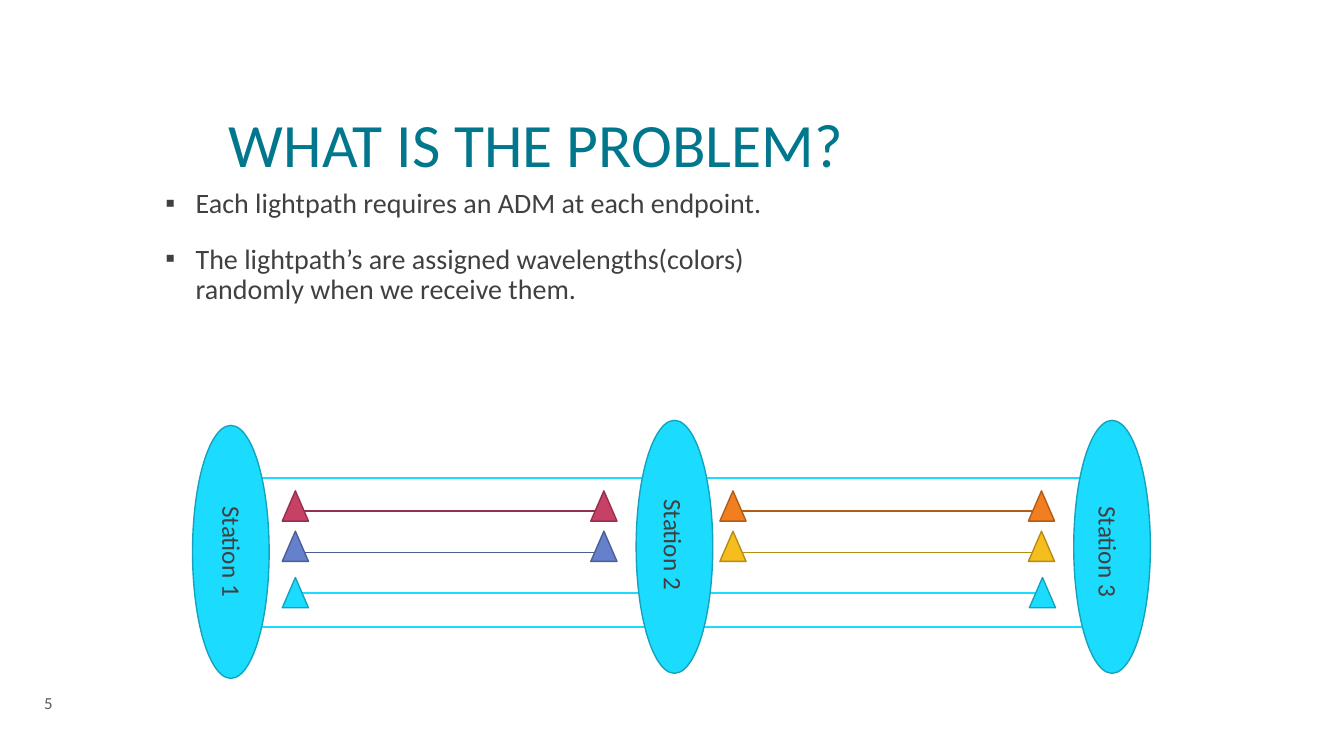
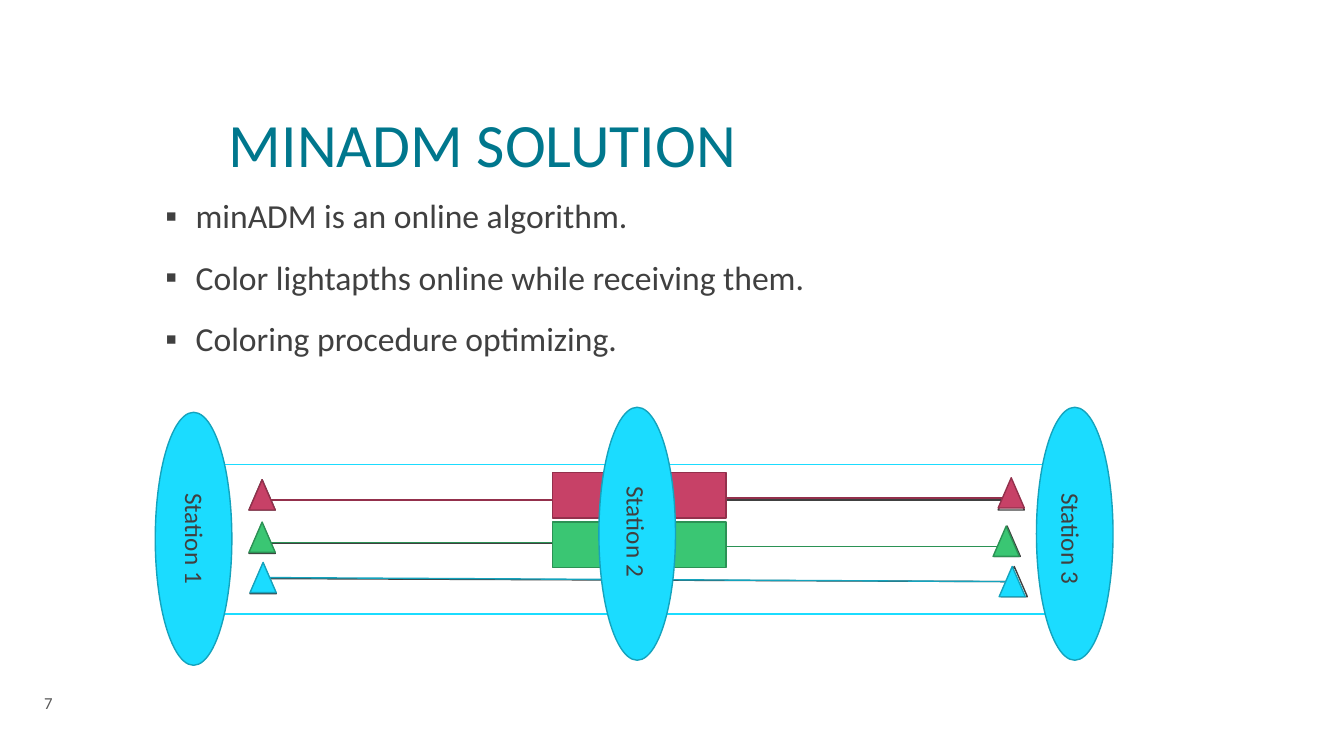
from pptx import Presentation
from pptx import util as u
from pptx.dml.color import RGBColor
from pptx.enum import shapes, text
from pptx.oxml.ns import qn
from lxml import etree

FONT = "Calibri"
WHITE = RGBColor(0xFF, 0xFF, 0xFF)
TEAL = RGBColor(0x00, 0x77, 0x8D)
DARK = RGBColor(0x40, 0x40, 0x40)
GREY = RGBColor(0x59, 0x59, 0x59)
CYAN = RGBColor(0x1B, 0xDC, 0xFF)

# Each wavelength pairs a fill with its outline.
BLUE_CYAN = CYAN, RGBColor(0x14, 0xA3, 0xBD)
RED = RGBColor(0xC7, 0x41, 0x67), RGBColor(0x93, 0x30, 0x4C)
BLUE = RGBColor(0x66, 0x81, 0xCC), RGBColor(0x4B, 0x5F, 0x97)
ORANGE = RGBColor(0xF1, 0x7E, 0x1F), RGBColor(0xB2, 0x5D, 0x17)
YELLOW = RGBColor(0xF6, 0xBD, 0x1E), RGBColor(0xB6, 0x8C, 0x16)
GREEN = RGBColor(0x3A, 0xC6, 0x73), RGBColor(0x2B, 0x92, 0x55)
UNCOLORED = WHITE, DARK
FIBRE = WHITE, CYAN

# Ellipse corner, then label corner.
STATIONS = [
    ((1.91, 4.22), (1.75, 5.28)),
    ((6.31, 4.17), (6.13, 5.21)),
    ((10.65, 4.17), (10.44, 5.28)),
]
LONG = dict(lead=0.19, drop=0.15)


def write(p, words, size, color, align=text.PP_ALIGN.LEFT, spacing=None, before=0):
    p.text = words
    p.alignment = align
    p.line_spacing = spacing
    p.space_before = u.Pt(before)
    for r in p.runs:
        r.font.name = FONT
        r.font.size = u.Pt(size)
        r.font.color.rgb = color


def place(sp, x, y, w, h):
    sp.left, sp.top, sp.width, sp.height = map(u.Inches, (x, y, w, h))


class Deck:
    def __init__(self):
        self.prs = Presentation()
        self.prs.slide_width = u.Inches(13.33)
        self.prs.slide_height = u.Inches(7.5)
        self.s = None

    def slide(self, title, number):
        self.s = self.prs.slides.add_slide(self.prs.slide_layouts[1])
        sp = self.s.shapes.title
        place(sp, 2.17, 0.42, 10.25, 1.42)
        tf = sp.text_frame
        tf.auto_size = text.MSO_AUTO_SIZE.NONE
        tf.vertical_anchor = text.MSO_ANCHOR.BOTTOM
        write(tf.paragraphs[0], title, 44, TEAL, spacing=0.85)
        self.label(str(number), 0.34, 6.86, 0.79, 0.22, size=12, color=GREY)

    def bullets(self, items, y, h, size):
        sp = self.s.placeholders[1]
        place(sp, 1.54, y, 10.25, h)
        tf = sp.text_frame
        tf.auto_size = text.MSO_AUTO_SIZE.NONE
        for i, item in enumerate(items):
            p = tf.add_paragraph() if i else tf.paragraphs[0]
            pPr = p._p.get_or_add_pPr()
            pPr.set("marL", str(u.Inches(0.3)))
            pPr.set("indent", str(u.Inches(-0.3)))
            etree.SubElement(pPr, qn("a:buChar")).set("char", "▪")
            write(p, item, size, DARK, spacing=0.9, before=18 if i else 0)

    def label(self, words, x, y, w, h, size=18, color=DARK, rotation=0):
        sp = self.s.shapes.add_textbox(*map(u.Inches, (x, y, w, h)))
        sp.rotation = rotation
        tf = sp.text_frame
        tf.word_wrap = True
        tf.vertical_anchor = text.MSO_ANCHOR.MIDDLE
        write(tf.paragraphs[0], words, size, color)

    def shape(self, kind, x, y, w, h, colors):
        sp = self.s.shapes.add_shape(kind, *map(u.Inches, (x, y, w, h)))
        sp.shadow.inherit = False
        sp.fill.solid()
        sp.fill.fore_color.rgb, sp.line.color.rgb = colors
        sp.line.width = u.Pt(1)

    def rect(self, x, y, w, h, colors):
        self.shape(shapes.MSO_SHAPE.RECTANGLE, x, y, w, h, colors)

    def adm(self, x, y, colors):
        self.shape(shapes.MSO_SHAPE.ISOSCELES_TRIANGLE, x, y, 0.26, 0.3, colors)

    def line(self, x1, y1, x2, y2, color, width):
        ln = self.s.shapes.add_connector(
            shapes.MSO_CONNECTOR.STRAIGHT, *map(u.Inches, (x1, y1, x2, y2)))
        ln.line.color.rgb = color
        ln.line.width = u.Pt(width)
        etree.SubElement(ln._element.spPr, qn("a:effectLst"))

    def lightpath(self, start, end, colors, ends="both", lead=0.13, drop=0.2,
                  color=None, width=1):
        """Join two ADM corners; ends says which ADMs show: both, start or end."""
        self.line(start[0] + lead, start[1] + drop, end[0] + 0.06, end[1] + drop,
                  color or colors[1], width)
        if ends != "end":
            self.adm(*start, colors)
        if ends != "start":
            self.adm(*end, colors)

    def fibres(self, dx=0, dy=0):
        for x in (6.78, 2.43):
            self.rect(x + dx, 4.74 + dy, 4.3, 1.48, FIBRE)

    def stations(self, dx=0, dy=0):
        for n, ((x, y), (tx, ty)) in enumerate(STATIONS, 1):
            self.shape(shapes.MSO_SHAPE.OVAL, x + dx, y + dy, 0.76, 2.51, BLUE_CYAN)
            self.label(f"Station {n}", tx + dx, ty + dy, 1.11, 0.4, rotation=90)


def problem(deck):
    deck.slide("WHAT IS THE PROBLEM?", 5)
    deck.bullets(["Each lightpath requires an ADM at each endpoint.",
                  "The lightpath’s are assigned wavelengths(colors) \v"
                  "randomly when we receive them."], 1.83, 4.9, 20)
    deck.fibres()
    for x1, x2, upper, lower in ((2.8, 5.86, RED, BLUE), (7.14, 10.2, ORANGE, YELLOW)):
        deck.lightpath((x1, 4.87), (x2, 4.87), upper)
        deck.lightpath((x1, 5.27), (x2, 5.27), lower, drop=0.21)
    deck.lightpath((2.8, 5.73), (10.21, 5.73), BLUE_CYAN, color=CYAN, width=1.5, **LONG)
    deck.stations()


def solution(deck):
    deck.slide("MINADM SOLUTION", 7)
    deck.bullets(["minADM is an online algorithm.",
                  "Color lightapths online while receiving them.",
                  "Coloring procedure optimizing."], 1.93, 2.3, 24)
    shift = -0.37, -0.13
    deck.fibres(*shift)
    # An uncolored path lies just behind each colored one.
    for start, end, colors, ends in (
            ((2.47, 4.76), (5.53, 4.76), UNCOLORED, "start"),
            ((2.47, 4.76), (5.53, 4.76), RED, "start"),
            ((2.47, 5.19), (5.53, 5.19), UNCOLORED, "start"),
            ((2.47, 5.18), (5.53, 5.18), GREEN, "start"),
            ((6.84, 4.76), (9.9, 4.76), UNCOLORED, "end"),
            ((6.84, 4.74), (9.9, 4.74), RED, "end"),
            ((6.79, 5.22), (9.86, 5.22), UNCOLORED, "end"),
            ((6.79, 5.22), (9.85, 5.22), GREEN, "end")):
        deck.lightpath(start, end, colors, ends)
    deck.lightpath((2.48, 5.59), (9.93, 5.62), UNCOLORED, **LONG)
    deck.lightpath((2.48, 5.58), (9.91, 5.62), BLUE_CYAN, **LONG)
    for y, colors in ((4.69, RED), (5.18, GREEN)):
        deck.rect(5.48, y, 1.72, 0.45, colors)
    deck.stations(*shift)


def main():
    deck = Deck()
    problem(deck)
    solution(deck)
    deck.prs.save("out.pptx")


if __name__ == "__main__":
    main()
